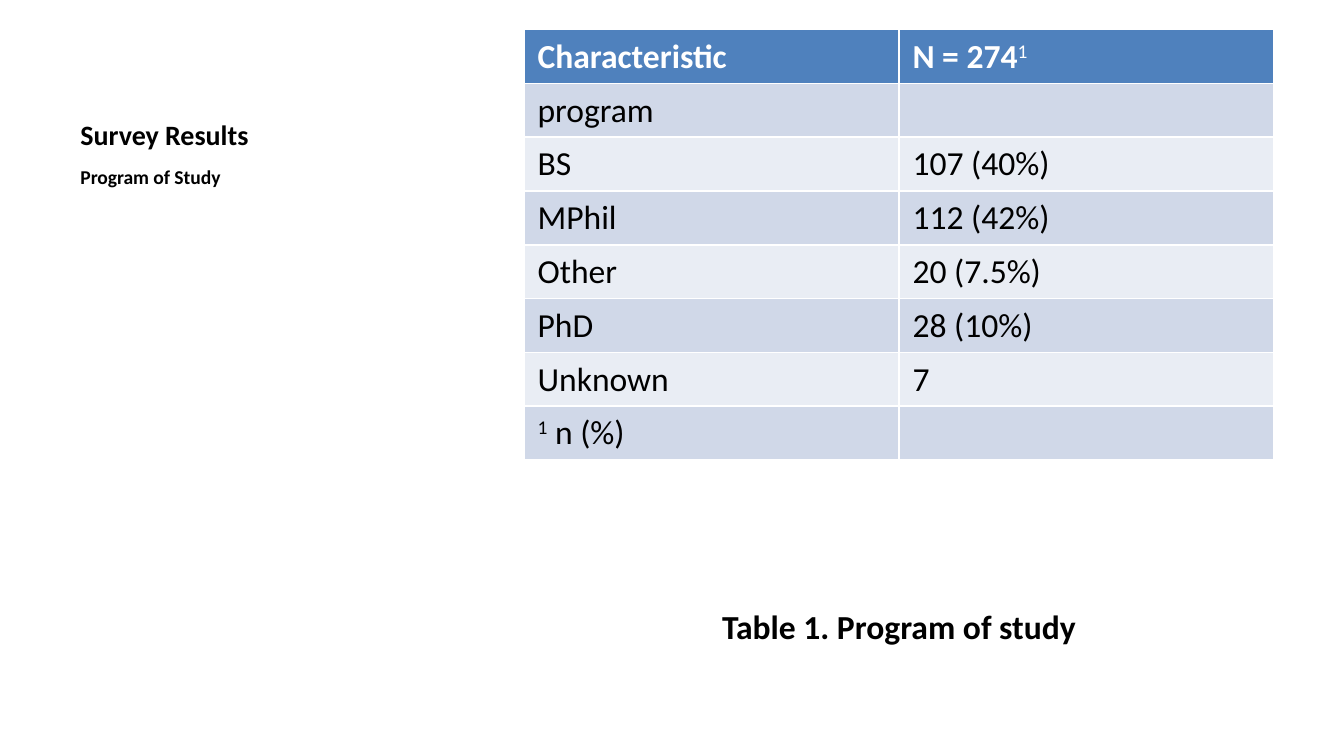
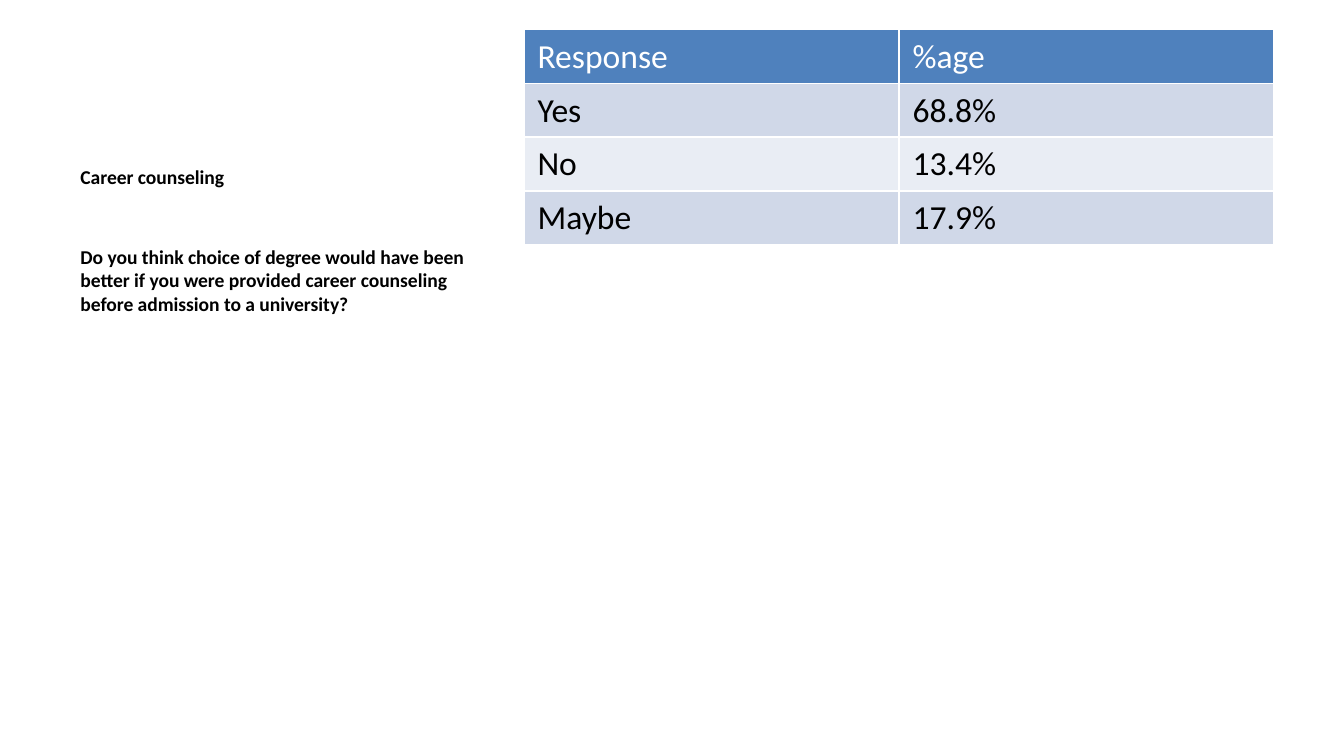
from dataclasses import dataclass

from pptx import Presentation
from pptx.dml.color import RGBColor
from pptx.enum.text import MSO_ANCHOR, PP_ALIGN
from pptx.util import Inches, Pt

LEFT, CENTER = PP_ALIGN.LEFT, PP_ALIGN.CENTER
TOP, BOTTOM = MSO_ANCHOR.TOP, MSO_ANCHOR.BOTTOM


@dataclass(frozen=True)
class Theme:
    """Colours, font and type sizes shared by the slides."""

    font: str = "Calibri"
    text: str = "000000"
    white: str = "FFFFFF"
    header: str = "4F81BD"
    bands: tuple = ("D0D8E8", "E9EDF4")
    title_size: float = 15
    body_size: float = 10.5
    table_size: float = 18
    body_space: float = 30


THEME = Theme()
TITLE_BOX = (0.5, 0.22, 3.29, 0.95)
BODY_BOX = (0.5, 1.18, 3.29, 3.85)
PROGRAM_TABLE_BOX = (3.9, 0.22, 5.58, 4.24)
COUNSELING_TABLE_BOX = (3.9, 0.22, 5.58, 4.79)
CAPTION_BOX = (3.9, 4.46, 5.58, 0.56)

PROGRAM_ROWS = [
    ("Characteristic", "N = 274^1"),
    ("program", ""),
    ("BS", "107 (40%)"),
    ("MPhil", "112 (42%)"),
    ("Other", "20 (7.5%)"),
    ("PhD", "28 (10%)"),
    ("Unknown", "7"),
    ("^1^ n (%)", ""),
]
COUNSELING_ROWS = [
    ("Response", "%age"),
    ("Yes", "68.8%"),
    ("No", "13.4%"),
    ("Maybe", "17.9%"),
]
COUNSELING_TEXT = [
    "Career counseling",
    "Do you think choice of degree would have been better if you were "
    "provided career counseling before admission to a university?",
]


def write_text(paragraph, text, *, size, color=THEME.text, bold=False,
               align=LEFT, space_before=0):
    """Write text into a paragraph; parts between carets become superscript."""
    paragraph.alignment = align
    paragraph.space_before = Pt(space_before)
    for index, part in enumerate(text.split("^")):
        if not part:
            continue
        raised = index % 2 == 1
        run = paragraph.add_run()
        run.text = part
        run.font.name = THEME.font
        run.font.size = Pt(size)
        run.font.bold = bold and not raised
        run.font.color.rgb = RGBColor.from_string(color)
        if raised:
            run._r.get_or_add_rPr().set("baseline", "30000")


def add_text_box(slide, box, texts, *, anchor=TOP, **text_format):
    """Add a wrapping text box with one bold paragraph per text."""
    frame = slide.shapes.add_textbox(*map(Inches, box)).text_frame
    frame.word_wrap = True
    frame.vertical_anchor = anchor
    for index, text in enumerate(texts):
        paragraph = frame.add_paragraph() if index else frame.paragraphs[0]
        write_text(paragraph, text, bold=True, **text_format)


def add_result_table(slide, box, rows, header_bold):
    """Add a banded table whose rows shrink to the height of their text."""
    frame = slide.shapes.add_table(
        len(rows), len(rows[0]), *map(Inches, box))
    table = frame.table
    for row_index, row in enumerate(rows):
        is_header = row_index == 0
        fill = THEME.header if is_header else THEME.bands[(row_index - 1) % 2]
        table.rows[row_index].height = 0
        for column_index, text in enumerate(row):
            cell = table.cell(row_index, column_index)
            cell.fill.solid()
            cell.fill.fore_color.rgb = RGBColor.from_string(fill)
            write_text(cell.text_frame.paragraphs[0], text,
                       size=THEME.table_size,
                       color=THEME.white if is_header else THEME.text,
                       bold=is_header and header_bold)
    frame.height = Inches(box[3])


def add_result_slide(presentation, body, rows, table_box, title=None,
                     caption=None, header_bold=False):
    """Add a slide with text at the left and a result table at the right."""
    slide = presentation.slides.add_slide(presentation.slide_layouts[6])
    if title:
        add_text_box(slide, TITLE_BOX, [title], anchor=BOTTOM,
                     size=THEME.title_size)
    add_text_box(slide, BODY_BOX, body, size=THEME.body_size,
                 space_before=THEME.body_space)
    add_result_table(slide, table_box, rows, header_bold)
    if caption:
        add_text_box(slide, CAPTION_BOX, [caption], size=THEME.table_size,
                     align=CENTER)


def main():
    """Build and save the presentation."""
    presentation = Presentation()
    presentation.slide_width = Inches(10)
    presentation.slide_height = Inches(10) * 9 // 16
    add_result_slide(presentation, ["Program of Study"], PROGRAM_ROWS,
                     PROGRAM_TABLE_BOX, title="Survey Results",
                     caption="Table 1. Program of study", header_bold=True)
    add_result_slide(presentation, COUNSELING_TEXT, COUNSELING_ROWS,
                     COUNSELING_TABLE_BOX)
    presentation.save("out.pptx")


if __name__ == "__main__":
    main()
